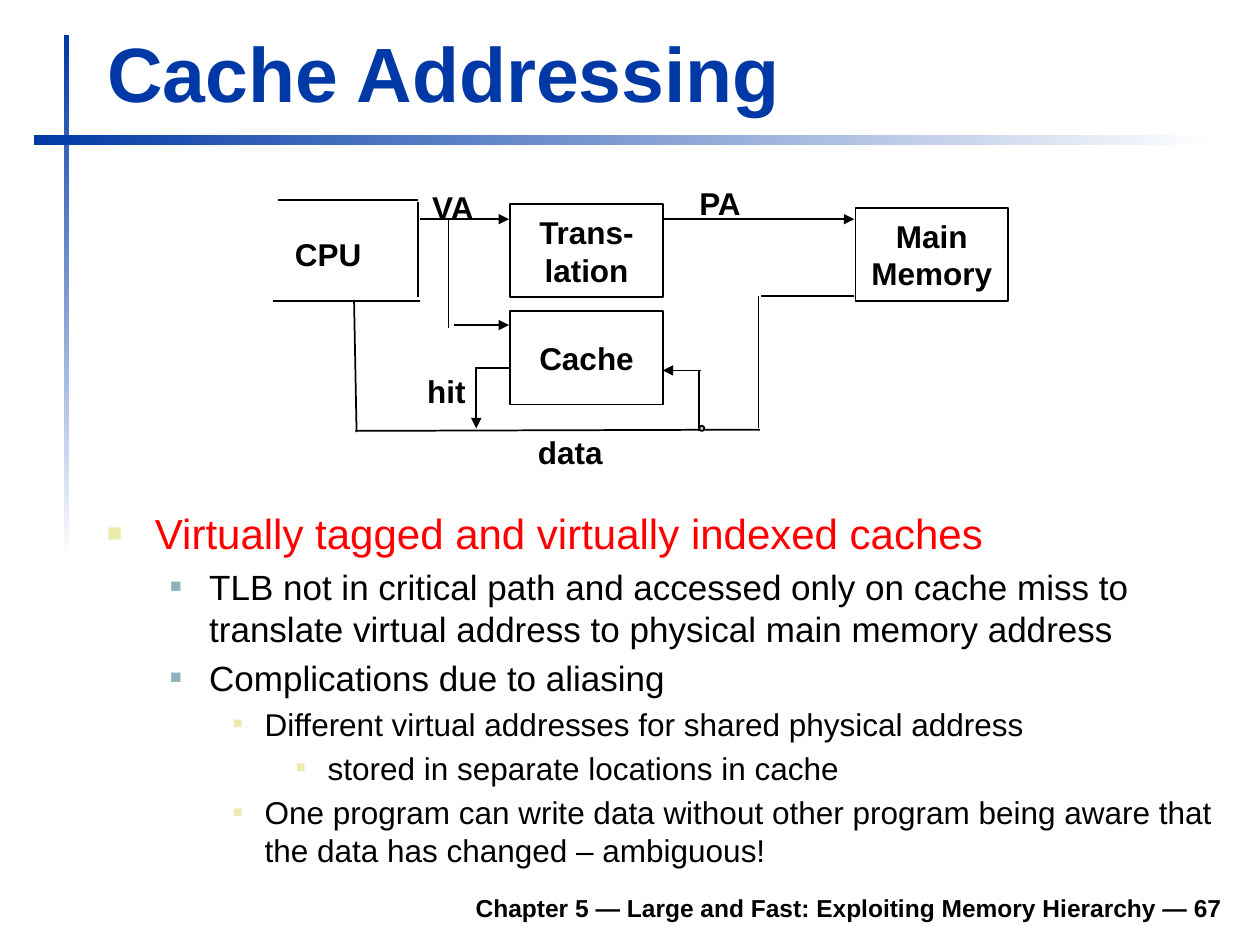
from lxml.etree import SubElement
from pptx import Presentation
from pptx.dml.color import RGBColor
from pptx.enum.shapes import MSO_CONNECTOR, MSO_SHAPE
from pptx.enum.text import MSO_ANCHOR as ANCHOR, MSO_AUTO_SIZE as AUTO, PP_ALIGN as ALIGN
from pptx.oxml.ns import qn
from pptx.util import Pt

PX = 9144  # 100 px to the inch
BLUE, BLACK, WHITE, RED = "0039A6", "000000", "FFFFFF", "FF0000"
SAND, STEEL = "ECEAAC", "91AFBF"


def rgb(color):
    return RGBColor.from_string(color)


def format_text(tf, size, color, bold=True, align=ALIGN.LEFT, spacing=None):
    for p in tf.paragraphs:
        p.alignment = align
        p.line_spacing = spacing
        for r in p.runs:
            r.font.name, r.font.size, r.font.bold = "Arial", Pt(size), bold
            r.font.color.rgb = rgb(color)


prs = Presentation()
prs.slide_width, prs.slide_height = 1000 * PX, 750 * PX
s = prs.slides.add_slide(prs.slide_layouts[1])
title, body = s.placeholders

# Gradient rules beside and below the title
for x, y, w, h, angle in [(51, 28, 4, 417, 270), (27, 107, 937, 8, 0)]:
    sp = s.shapes.add_shape(MSO_SHAPE.RECTANGLE, x * PX, y * PX, w * PX, h * PX)
    sp.shadow.inherit = False
    sp.line.fill.background()
    sp.fill.gradient()
    sp.fill.gradient_angle = angle
    for stop, color, position in zip(sp.fill.gradient_stops, (BLUE, WHITE), (0, 1)):
        stop.color.rgb = rgb(color)
        stop.position = position

# Title
title.left, title.top, title.width, title.height = 75 * PX, 16 * PX, 903 * PX, 83 * PX
tf = title.text_frame
tf.text = "Cache Addressing"
tf.auto_size, tf.vertical_anchor = AUTO.NONE, ANCHOR.BOTTOM
format_text(tf, 44, BLUE)

# Footer
sp = s.shapes.add_textbox(185 * PX, 698 * PX, 795 * PX, 39 * PX)
tf = sp.text_frame
tf.text = "Chapter 5 — Large and Fast: Exploiting Memory Hierarchy — 67"
tf.word_wrap, tf.vertical_anchor = True, ANCHOR.BOTTOM
format_text(tf, 14, BLACK, align=ALIGN.RIGHT)

# Diagram boxes
for text, x, y in [("Trans-\nlation", 405, 162), ("Cache", 405, 247), ("Main\nMemory", 679, 165)]:
    sp = s.shapes.add_shape(MSO_SHAPE.RECTANGLE, x * PX, y * PX, 121 * PX, 74 * PX)
    sp.shadow.inherit = False
    sp.fill.background()
    sp.line.color.rgb, sp.line.width = rgb(BLACK), Pt(1)
    tf = sp.text_frame
    tf.text = text
    tf.word_wrap, tf.vertical_anchor = False, ANCHOR.MIDDLE
    format_text(tf, 18, BLACK, align=ALIGN.CENTER)

# Diagram lines: from, to, arrowhead at the end
lines = [
    (221, 159, 332, 159, False),  # CPU outline, open on the left
    (332, 160, 332, 236, False),
    (333, 239, 217, 239, False),
    (333, 174, 404, 174, True),  # virtual address
    (356, 260, 356, 174, False),
    (360, 258, 404, 258, True),
    (527, 174, 678, 174, True),  # physical address
    (678, 235, 604, 235, False),  # data path from memory to CPU
    (602, 235, 602, 340, False),
    (603, 341, 282, 342, False),
    (283, 343, 281, 238, False),
    (555, 342, 555, 294, False),  # cache fill
    (556, 294, 526, 294, True),
    (405, 292, 377, 292, False),  # cache hit
    (378, 293, 378, 340, True),
]
for x1, y1, x2, y2, arrow in lines:
    line = s.shapes.add_connector(MSO_CONNECTOR.STRAIGHT, x1 * PX, y1 * PX, x2 * PX, y2 * PX)
    line.line.color.rgb, line.line.width = rgb(BLACK), Pt(1)
    if arrow:
        SubElement(line.line._get_or_add_ln(), qn("a:tailEnd"), type="triangle")
    SubElement(line._element.spPr, qn("a:effectLst"))

# Junction dot
sp = s.shapes.add_shape(MSO_SHAPE.OVAL, 555 * PX, 338 * PX, 4 * PX, 4 * PX)
sp.shadow.inherit = False
sp.fill.solid()
sp.fill.fore_color.rgb = rgb("9FCAD3")
sp.line.color.rgb, sp.line.width = rgb(BLACK), Pt(1)

# Diagram labels, each box growing with its single line of text
labels = [("CPU", 227, 188, 67), ("VA", 336, 151, 49), ("PA", 548, 148, 49),
          ("hit", 332, 297, 46), ("data", 420, 345, 67)]
for text, x, y, w in labels:
    sp = s.shapes.add_textbox(x * PX, y * PX, w * PX, 31 * PX)
    tf = sp.text_frame
    tf.text = text
    tf.word_wrap, tf.auto_size = False, AUTO.SHAPE_TO_FIT_TEXT
    tf.margin_left = tf.margin_right = 7 * PX
    tf.margin_top = tf.margin_bottom = 3 * PX
    format_text(tf, 18, BLACK, spacing=0.85)

# Bullet list
levels = [  # text indent, hanging, size, text colour, bullet colour, bullet percent
    (38, 38, 24, RED, SAND, 60),
    (81, 31, 20, BLACK, STEEL, 55),
    (125, 25, 18, BLACK, SAND, 50),
    (175, 25, 18, BLACK, SAND, 50),
]
points = [
    (0, "Virtually tagged and virtually indexed caches"),
    (1, "TLB not in critical path and accessed only on cache miss to translate "
        "virtual address to physical main memory address"),
    (1, "Complications due to aliasing"),
    (2, "Different virtual addresses for shared physical address"),
    (3, "stored in separate locations in cache"),
    (2, "One program can write data without other program being aware that "
        "the data has changed – ambiguous!"),
]
body.left, body.top, body.width, body.height = 75 * PX, 398 * PX, 903 * PX, 308 * PX
tf = body.text_frame
tf.auto_size = AUTO.NONE
tf.text = "\n".join(text for _, text in points)
for i, (p, (level, _)) in enumerate(zip(tf.paragraphs, points)):
    indent, hanging, size, color, bullet, percent = levels[level]
    p.level = level
    p.space_before = Pt(size * 0.2 if i else 0)
    pPr = p._p.get_or_add_pPr()
    pPr.set("marL", str(indent * PX))
    pPr.set("indent", str(-hanging * PX))
    SubElement(SubElement(pPr, qn("a:buClr")), qn("a:srgbClr"), val=bullet)
    SubElement(pPr, qn("a:buSzPct"), val=str(percent * 1000))
    SubElement(pPr, qn("a:buFont"), typeface="Arial")
    SubElement(pPr, qn("a:buChar"), char="■")
    for r in p.runs:
        r.font.name, r.font.size = "Arial", Pt(size)
        r.font.color.rgb = rgb(color)

prs.save("out.pptx")
